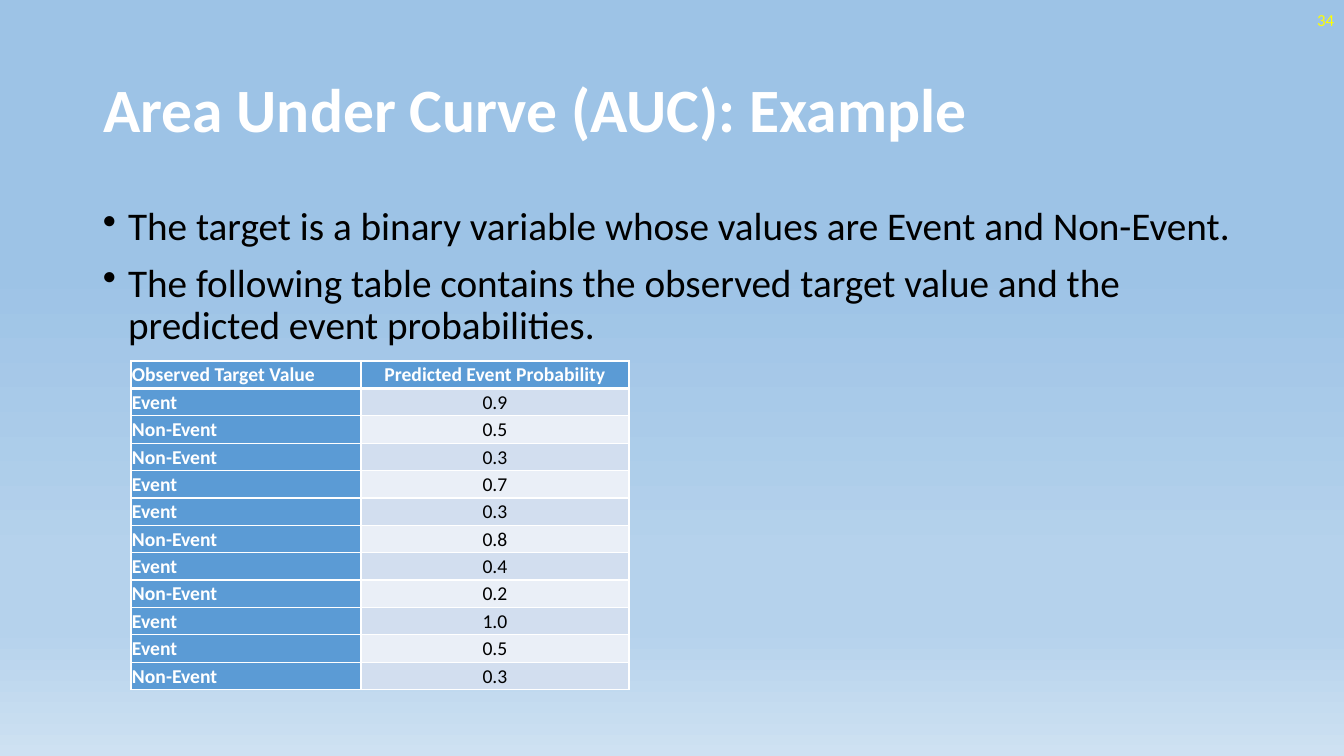
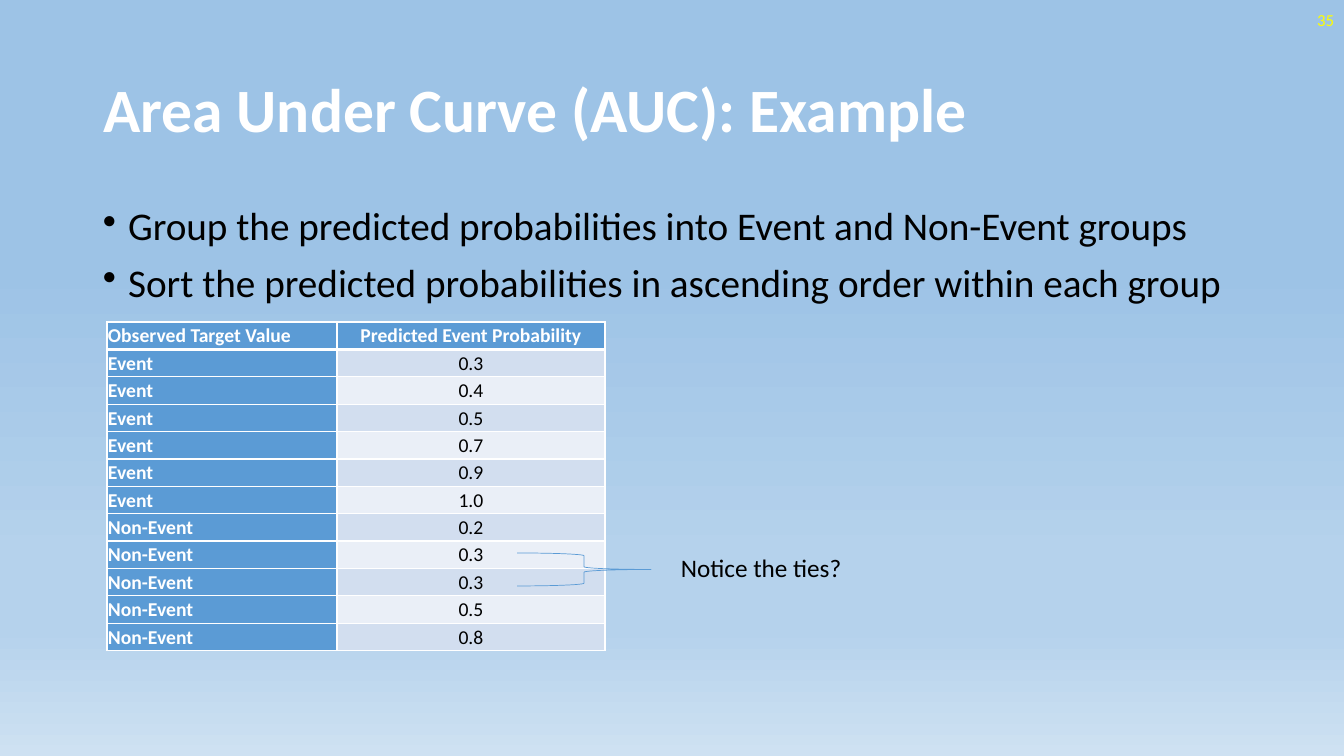
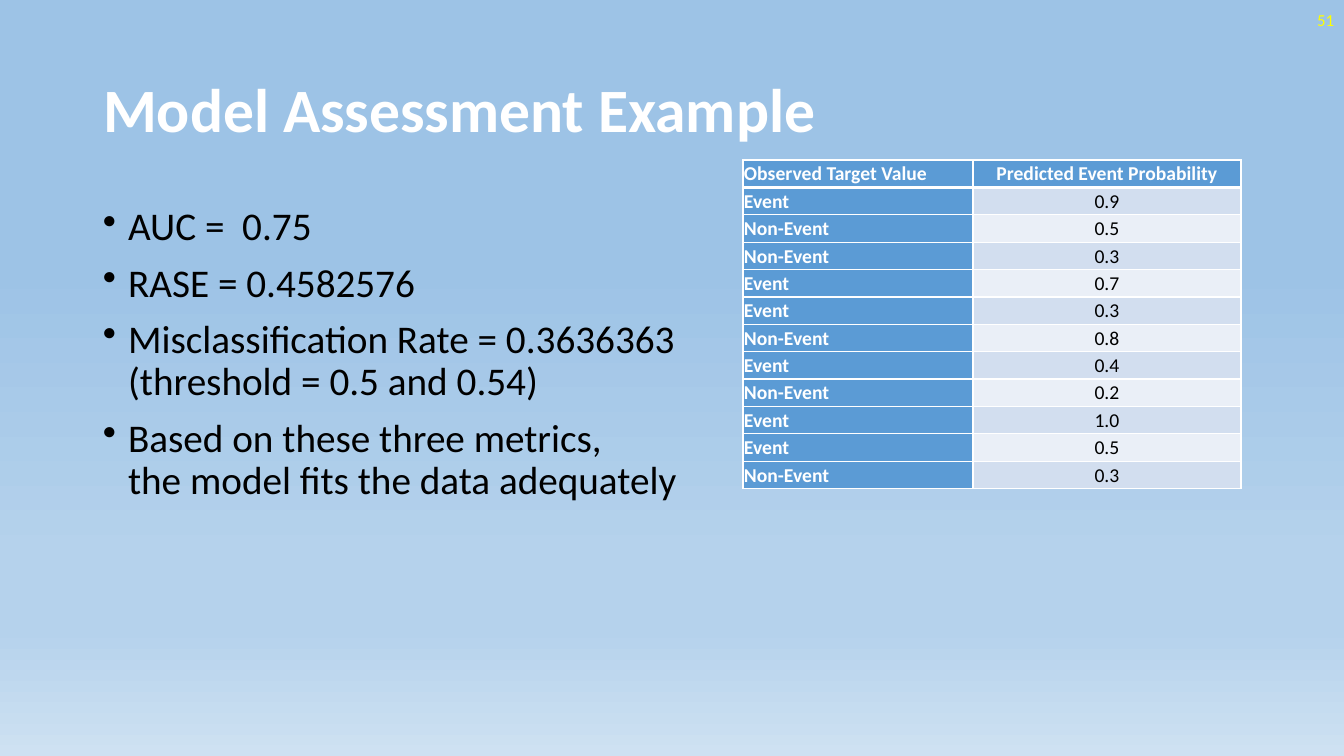
from pptx import Presentation
from pptx.dml.color import RGBColor
from pptx.enum.shapes import MSO_SHAPE
from pptx.enum.text import MSO_ANCHOR, MSO_AUTO_SIZE, PP_ALIGN
from pptx.oxml.ns import qn
from pptx.util import Pt
from lxml.etree import SubElement

PX = 914400 / 100.8
WHITE, BLACK, YELLOW, BLUE = "FFFFFF", "000000", "FFFF00", "5B9BD5"
BANDS = ["D2DEEF", "EAEFF7"]
SKY = [(35, "9DC3E6"), (74, "B5D2EC"), (83, "B5D2EC"), (100, "CEE1F2")]

# Content
HEAD = ("Observed Target Value", "Predicted Event Probability")
CASES = [
    ("Event", "0.9"), ("Non-Event", "0.5"), ("Non-Event", "0.3"),
    ("Event", "0.7"), ("Event", "0.3"), ("Non-Event", "0.8"),
    ("Event", "0.4"), ("Non-Event", "0.2"), ("Event", "1.0"),
    ("Event", "0.5"), ("Non-Event", "0.3"),
]
COLS, TALL = (230, 268), 329
SLIDES = [
    dict(title="Area Under Curve (AUC): Example", page="34",
         points=["The target is a binary variable whose values are Event and Non-Event.",
                 "The following table contains the observed target value and the "
                 "predicted event probabilities."],
         rows=CASES, spot=(131, 361)),
    dict(title="Area Under Curve (AUC): Example", page="35",
         points=["Group the predicted probabilities into Event and Non-Event groups",
                 "Sort the predicted probabilities in ascending order within each group"],
         rows=sorted(CASES), spot=(107, 322), note="Notice the ties?"),
    dict(title="Model Assessment Example", page="51",
         points=["AUC =  0.75",
                 "RASE = 0.4582576",
                 "Misclassification Rate = 0.3636363\n(threshold = 0.5 and 0.54)",
                 "Based on these three metrics,\nthe model fits the data adequately"],
         rows=CASES, spot=(743, 160)),
]


def px(*sizes):
    return [round(size * PX) for size in sizes]


def rgb(code):
    return RGBColor.from_string(code)


def write(frame, *texts, size=18, color=BLACK, bold=False, align=PP_ALIGN.LEFT,
          anchor=MSO_ANCHOR.TOP, lead=None, gap=0, bullet=False):
    frame.word_wrap = True
    frame.vertical_anchor = anchor
    for i, text in enumerate(texts):
        para = frame.add_paragraph() if i else frame.paragraphs[0]
        para.text = text
        para.alignment = align
        if bullet:
            props = para._p.get_or_add_pPr()
            props.set("marL", "228600")
            props.set("indent", "-228600")
            SubElement(props, qn("a:buChar")).set("char", "•")
        if lead:
            para.line_spacing = lead
        if i and gap:
            para.space_before = Pt(gap)
        for run in para.runs:
            font = run.font
            font.name, font.size, font.bold = "Calibri", Pt(size), bold
            font.color.rgb = rgb(color)


def label(slide, spot, *texts, **style):
    write(slide.shapes.add_textbox(*px(*spot)).text_frame, *texts, **style)


def add_stop(parent, code):
    SubElement(parent, qn("a:srgbClr")).set("val", code)


def paint(master):
    fill = master.background.fill
    fill.gradient()
    fill.gradient_angle = 270
    stops = master.element.find(".//" + qn("a:gsLst"))
    for stop in list(stops):
        stops.remove(stop)
    for place, code in SKY:
        stop = SubElement(stops, qn("a:gs"))
        stop.set("pos", str(place * 1000))
        add_stop(stop, code)


def edge(cell, row):
    props = cell._tc.get_or_add_tcPr()
    thick = {"T": 3 if row == 1 else 1, "B": 3 if row == 0 else 1}
    for side in "LRTB":
        line = SubElement(props, qn("a:ln" + side))
        line.set("w", str(Pt(thick.get(side, 1))))
        add_stop(SubElement(line, qn("a:solidFill")), WHITE)


def grid(slide, spot, rows):
    rows = [HEAD, *rows]
    table = slide.shapes.add_table(
        len(rows), len(COLS), *px(*spot, sum(COLS), TALL)).table
    table.horz_banding = False
    for col, wide in zip(table.columns, px(*COLS)):
        col.width = wide
    for r, row in enumerate(rows):
        table.rows[r].height = px(TALL / len(rows))[0]
        for c, text in enumerate(row):
            cell = table.cell(r, c)
            key = r == 0 or c == 0
            edge(cell, r)
            cell.fill.solid()
            cell.fill.fore_color.rgb = rgb(BLUE if key else BANDS[(r - 1) % 2])
            cell.margin_left = cell.margin_right = cell.margin_top = px(1)[0]
            cell.margin_bottom = 0
            cell.vertical_anchor = MSO_ANCHOR.MIDDLE
            write(cell.text_frame, text, size=14, bold=key, anchor=MSO_ANCHOR.MIDDLE,
                  color=WHITE if key else BLACK,
                  align=PP_ALIGN.CENTER if c else PP_ALIGN.LEFT)


def tie(slide, text):
    brace = slide.shapes.add_shape(MSO_SHAPE.RIGHT_BRACE, *px(517, 553, 134, 33))
    brace.shadow.inherit = False
    brace.fill.background()
    brace.line.color.rgb = rgb(BLUE)
    brace.line.width = Pt(0.5)
    label(slide, (671, 547, 289, 40), text)


def build(deck, data):
    slide = deck.slides.add_slide(deck.slide_layouts[5])
    # Title, points and page number
    title = slide.shapes.title
    title.left, title.top, title.width, title.height = px(93, 40, 1159, 146)
    title.text_frame.auto_size = MSO_AUTO_SIZE.NONE
    write(title.text_frame, data["title"], size=44, color=WHITE, bold=True,
          anchor=MSO_ANCHOR.MIDDLE, lead=0.9)
    label(slide, (93, 202, 1159, 480), *data["points"],
          size=28, lead=0.9, gap=10, bullet=True)
    label(slide, (1041, 0, 303, 40), data["page"], size=12, color=YELLOW,
          align=PP_ALIGN.RIGHT, anchor=MSO_ANCHOR.MIDDLE)
    # Table and its remark
    grid(slide, data["spot"], data["rows"])
    if "note" in data:
        tie(slide, data["note"])


def main():
    deck = Presentation()
    deck.slide_width, deck.slide_height = px(1344, 756)
    paint(deck.slide_master)
    for data in SLIDES:
        build(deck, data)
    deck.save("out.pptx")


if __name__ == "__main__":
    main()
